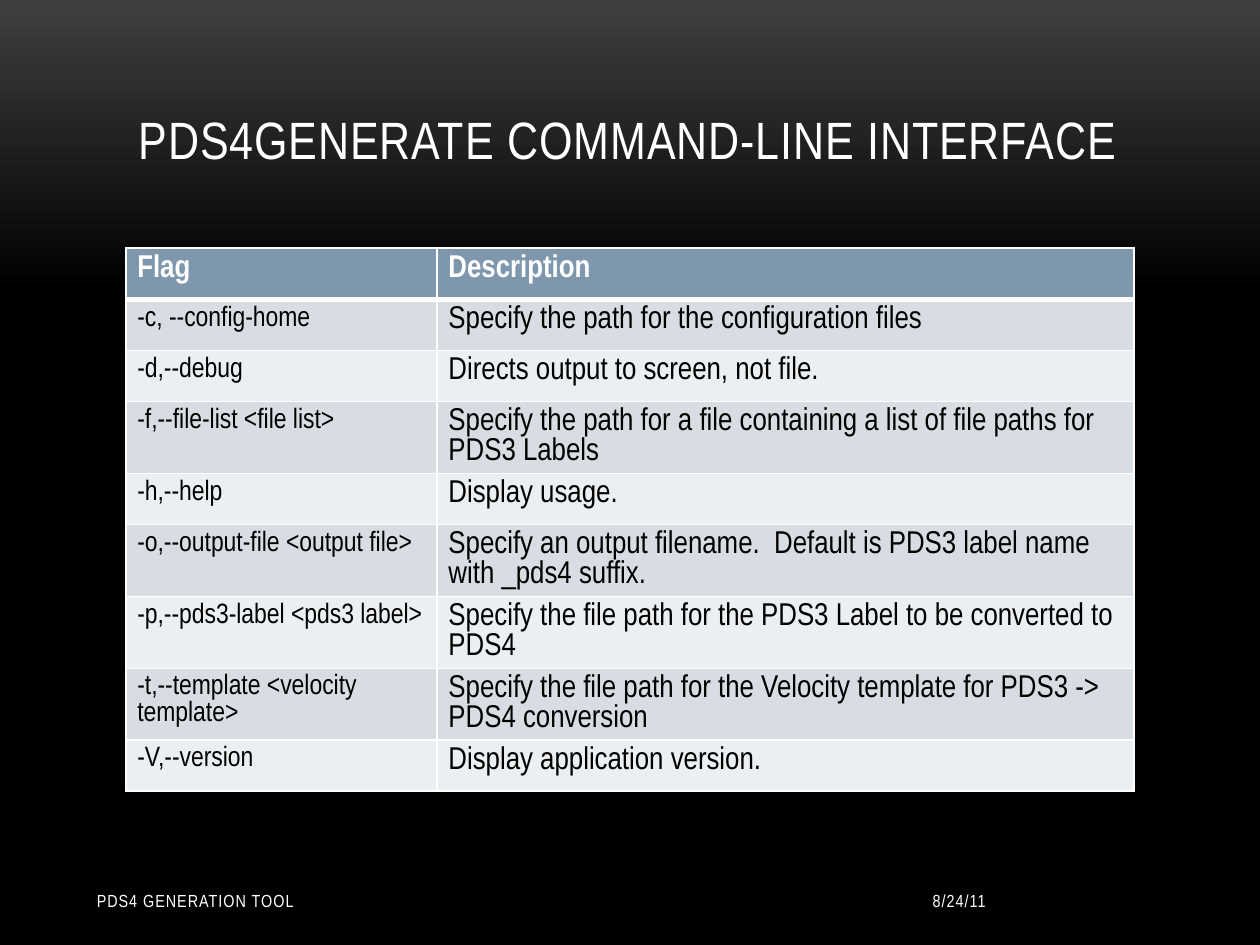
from copy import deepcopy

from pptx import Presentation
from pptx.dml.color import RGBColor
from pptx.enum.text import MSO_ANCHOR as Anchor, MSO_AUTO_SIZE as AutoSize, PP_ALIGN as Align
from pptx.oxml.ns import qn
from pptx.oxml.xmlchemy import OxmlElement as new_element
from pptx.util import Inches, Pt

COLORS = {
    "text": "FFFFFF",
    "cell_text": "000000",
    "border": "FFFFFF",
    "header": "7E97AD",
    "odd_row": "D8DDE3",
    "even_row": "ECEFF1",
    "glow": "3F3F3F",
    "background": "000000",
}
FONT = "Arial Narrow"
ROWS = [
    ("Flag", "Description"),
    ("-c, --config-home", "Specify the path for the configuration files"),
    ("-d,--debug", "Directs output to screen, not file."),
    ("-f,--file-list <file list>",
     "Specify the path for a file containing a list of file paths for PDS3 Labels"),
    ("-h,--help", "Display usage."),
    ("-o,--output-file <output file>",
     "Specify an output filename.  Default is PDS3 label name with _pds4 suffix."),
    ("-p,--pds3-label <pds3 label>",
     "Specify the file path for the PDS3 Label to be converted to PDS4"),
    ("-t,--template <velocity template>",
     "Specify the file path for the Velocity template for PDS3 -> PDS4 conversion"),
    ("-V,--version", "Display application version."),
]


def color(name):
    """Return the named colour."""
    return RGBColor.from_string(COLORS[name])


def write(frame, text, size, color_name="text", bold=False, spacing=0, align=Align.LEFT):
    """Write one formatted run into the first paragraph of a frame."""
    paragraph = frame.paragraphs[0]
    paragraph.alignment = align
    run = paragraph.add_run()
    run.text = text
    run.font.name = FONT
    run.font.size = Pt(size)
    run.font.bold = bold
    run.font.color.rgb = color(color_name)
    if spacing:
        run._r.get_or_add_rPr().set("spc", str(round(spacing * 100)))


def paint_background(slide):
    """Fade the slide from grey at the top to black."""
    fill = slide.background.fill
    fill.gradient()
    fill.gradient_angle = 270
    for stop, name, position in zip(fill.gradient_stops, ("glow", "background"), (0, 0.31)):
        stop.color.rgb = color(name)
        stop.position = position
    last_stop = list(slide._element.iter(qn("a:gs")))[-1]
    end_stop = deepcopy(last_stop)
    end_stop.set("pos", "100000")
    last_stop.addnext(end_stop)


def place_title(slide, text, box):
    """Place the title placeholder in the box."""
    title = slide.shapes.title
    title.left, title.top, title.width, title.height = map(Inches, box)
    frame = title.text_frame
    frame.word_wrap = True
    frame.auto_size = AutoSize.NONE
    frame.vertical_anchor = Anchor.BOTTOM
    write(frame, text, 30, spacing=0.5)


def set_borders(cell, top, bottom):
    """Draw the four cell borders, with the given top and bottom widths in points."""
    properties = cell._tc.get_or_add_tcPr()
    sides = (("L", 1), ("R", 1), ("T", top), ("B", bottom))
    for index, (side, width) in enumerate(sides):
        line = new_element(f"a:ln{side}")
        line.set("w", str(Pt(width)))
        solid = new_element("a:solidFill")
        tint = new_element("a:srgbClr")
        tint.set("val", COLORS["border"])
        solid.append(tint)
        line.append(solid)
        properties.insert(index, line)


def place_flag_table(slide, rows, box):
    """Place the table of flags in the box, with equal minimum row heights."""
    left, top, width, height = map(Inches, box)
    table = slide.shapes.add_table(len(rows), 2, left, top, width, height).table
    flag_width = Inches(2.47)
    table.columns[0].width = flag_width
    table.columns[1].width = width - flag_width
    for row_index, row in enumerate(rows):
        header = row_index == 0
        fill_name = "header" if header else ("even_row", "odd_row")[row_index % 2]
        for column_index, text in enumerate(row):
            cell = table.cell(row_index, column_index)
            cell.margin_left = cell.margin_right = Inches(0.09)
            cell.margin_top = cell.margin_bottom = Inches(0.05)
            cell.fill.solid()
            cell.fill.fore_color.rgb = color(fill_name)
            set_borders(cell, 3 if row_index == 1 else 1, 3 if header else 1)
            size = 18 if header or column_index else 16
            write(cell.text_frame, text, size, "text" if header else "cell_text", header)


def place_footer(slide, text, box, align):
    """Place one small footer text in the box."""
    frame = slide.shapes.add_textbox(*map(Inches, box)).text_frame
    frame.word_wrap = True
    frame.vertical_anchor = Anchor.MIDDLE
    write(frame, text, 10, spacing=0.6, align=align)


def build():
    """Build and save the presentation."""
    presentation = Presentation()
    presentation.slide_width, presentation.slide_height = Inches(10), Inches(7.5)
    slide = presentation.slides.add_slide(presentation.slide_layouts[5])
    paint_background(slide)
    place_title(slide, "PDS4GENERATE COMMAND-LINE INTERFACE", (1, 0.14, 8, 1.26))
    place_flag_table(slide, ROWS, (1, 1.97, 8, 3.65))
    place_footer(slide, "8/24/11", (6.25, 6.95, 1.67, 0.4), Align.RIGHT)
    place_footer(slide, "PDS4 GENERATION TOOL", (0.67, 6.95, 3.17, 0.4), Align.LEFT)
    presentation.save("out.pptx")


build()
